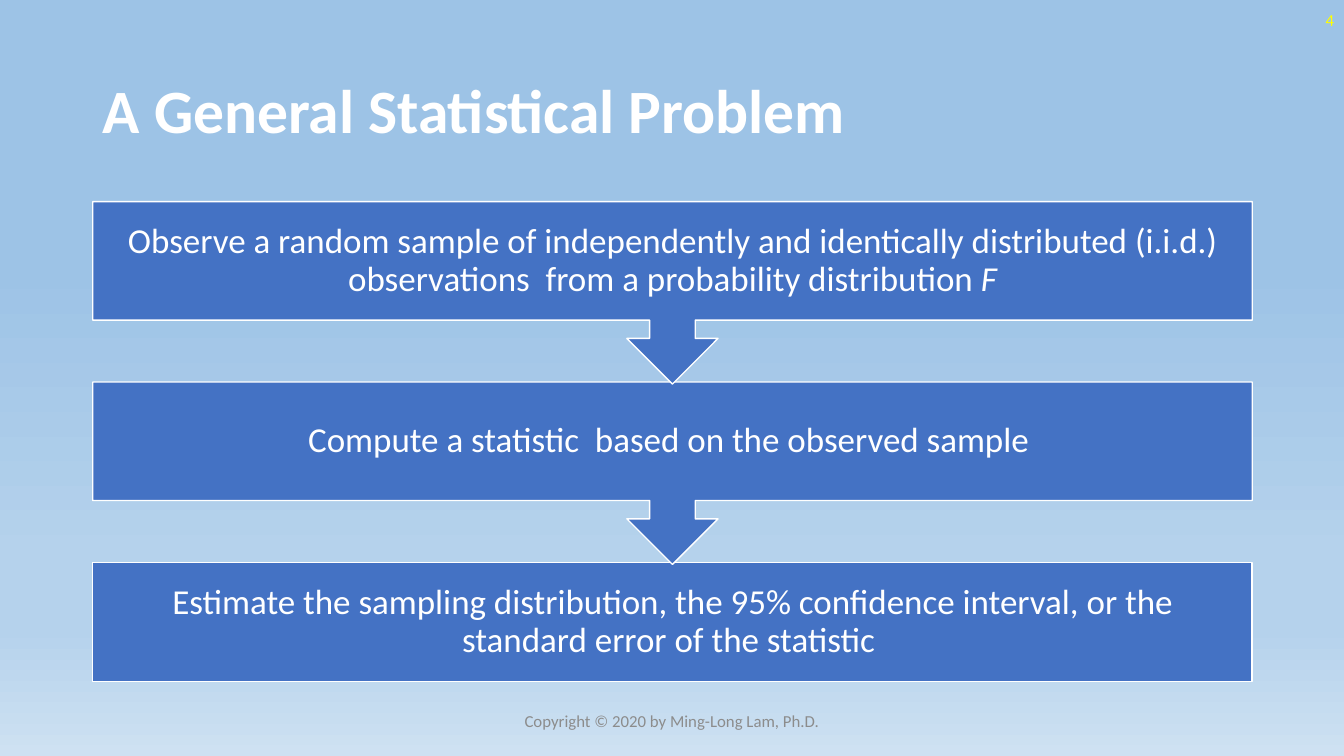
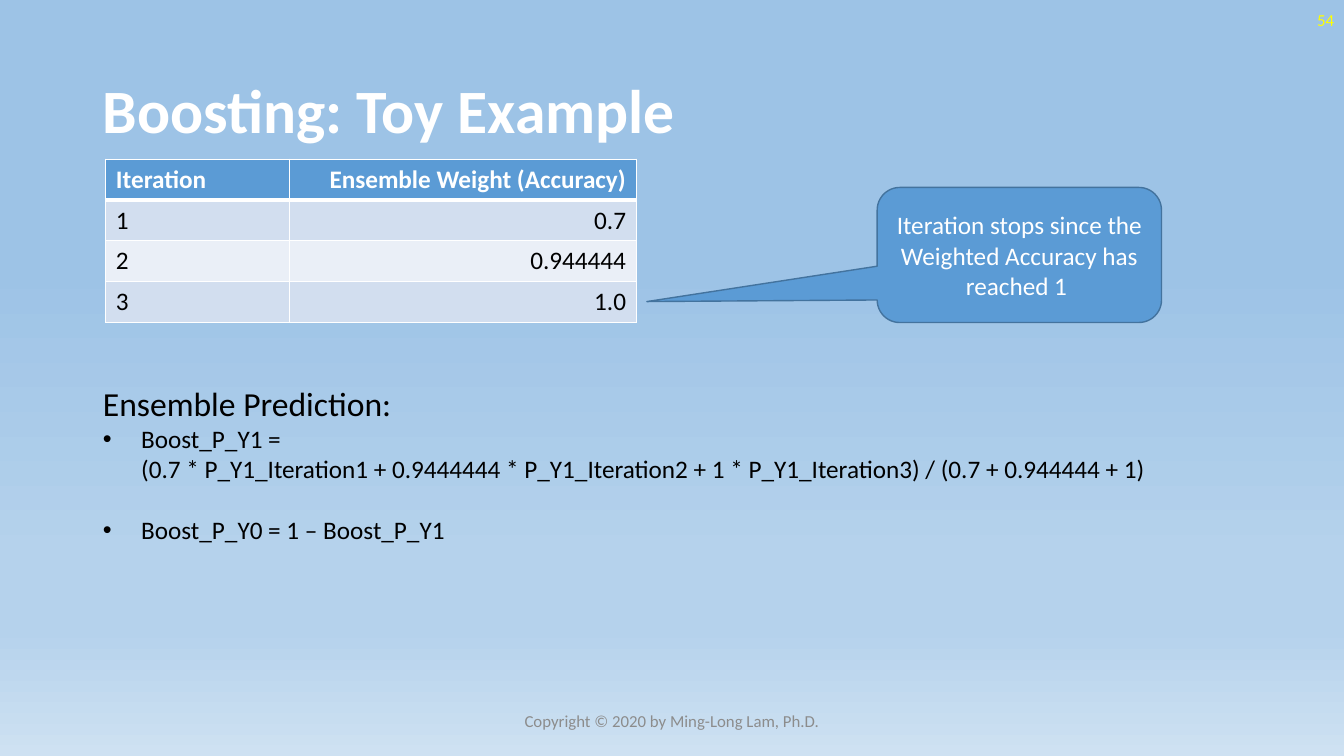
from pptx import Presentation
from pptx.dml.color import RGBColor
from pptx.enum import shapes, text
from pptx.oxml import ns, parse_xml
from pptx.util import Inches, Pt

# Shared look
FONT = "Calibri"
WHITE = RGBColor(0xFF, 0xFF, 0xFF)
BLACK = RGBColor(0, 0, 0)
YELLOW = RGBColor(0xFF, 0xFF, 0)
GREY = RGBColor(0x8C, 0x8C, 0x8C)
STEP_BLUE = RGBColor(0x44, 0x72, 0xC4)
ACCENT_BLUE = RGBColor(0x5B, 0x9B, 0xD5)
ACCENT_EDGE = RGBColor(0x43, 0x73, 0x9E)
ROW_BLUES = RGBColor(0xD2, 0xDE, 0xEF), RGBColor(0xEA, 0xEF, 0xF7)
BACKGROUND_STOPS = [(35, "9DC3E6"), (74, "B5D2EC"), (83, "B5D2EC"), (100, "CEE1F2")]
WIDTH, HEIGHT = 13.33, 7.5
MARGIN = 0.92
CONTENT_WIDTH = 11.5
LEFT, CENTER, RIGHT = text.PP_ALIGN.LEFT, text.PP_ALIGN.CENTER, text.PP_ALIGN.RIGHT
MIDDLE = text.MSO_ANCHOR.MIDDLE
FOOTER = "Copyright © 2020 by Ming-Long Lam, Ph.D."

# Content: each step is a list of (words, italic)
STEPS = [
    [("Observe a random sample of independently and identically distributed (i.i.d.) "
      "observations  from a probability distribution ", False), ("F", True)],
    [("Compute a statistic  based on the observed sample ", False)],
    [("Estimate the sampling distribution, the 95% confidence interval, "
      "or the standard error of the statistic ", False)],
]
WEIGHTS = [
    ("Iteration", "Ensemble Weight (Accuracy)"),
    ("1", "0.7"),
    ("2", "0.944444"),
    ("3", "1.0"),
]
CALLOUT = "Iteration stops since the Weighted Accuracy has reached 1 "
PREDICTION_HEADING = "Ensemble Prediction:"
PREDICTIONS = [
    "Boost_P_Y1 =\v(0.7 * P_Y1_Iteration1 + 0.9444444 * P_Y1_Iteration2 "
    "+ 1 * P_Y1_Iteration3) / (0.7 + 0.944444 + 1)",
    "Boost_P_Y0 = 1 – Boost_P_Y1",
]


def xml(tag, attributes="", inner=""):
    return parse_xml(f'<a:{tag} {ns.nsdecls("a")} {attributes}>{inner}</a:{tag}>')


def solid(color):
    return f'<a:solidFill><a:srgbClr val="{color}"/></a:solidFill>'


def style(paragraph, size, color, align=LEFT, bold=False):
    paragraph.alignment = align
    font = paragraph.font
    font.name, font.size, font.bold = FONT, Pt(size), bold
    font.color.rgb = color


def place(shape, left, top, width, height):
    shape.left, shape.top = Inches(left), Inches(top)
    shape.width, shape.height = Inches(width), Inches(height)


def add_label(slide, words, box, color, align):
    frame = slide.shapes.add_textbox(*map(Inches, box)).text_frame
    frame.word_wrap, frame.vertical_anchor = True, MIDDLE
    frame.text = words
    style(frame.paragraphs[0], 12, color, align)


def add_box(slide, kind, box, fill, edge):
    shape = slide.shapes.add_shape(kind, *map(Inches, box))
    shape.shadow.inherit = False
    shape.fill.solid()
    shape.fill.fore_color.rgb = fill
    shape.line.color.rgb = edge
    shape.line.width = Pt(1)
    shape.text_frame.word_wrap = True
    shape.text_frame.vertical_anchor = MIDDLE
    return shape


def set_background(master):
    fill = master.background.fill
    fill.gradient()
    fill.gradient_angle = 270
    stops = master.element.find(".//" + ns.qn("a:gsLst"))
    for stop in list(stops):
        stops.remove(stop)
    for percent, color in BACKGROUND_STOPS:
        stops.append(xml("gs", f'pos="{percent * 1000}"', f'<a:srgbClr val="{color}"/>'))


def add_slide(presentation, layout, title, number):
    slide = presentation.slides.add_slide(presentation.slide_layouts[layout])
    shape = slide.shapes.title
    place(shape, MARGIN, 0.4, CONTENT_WIDTH, 1.45)
    shape.text_frame.text = title
    shape.text_frame.vertical_anchor = MIDDLE
    paragraph = shape.text_frame.paragraphs[0]
    paragraph.line_spacing = 0.9
    style(paragraph, 44, WHITE, bold=True)
    add_label(slide, str(number), (WIDTH - 3, 0, 3, 0.4), YELLOW, RIGHT)
    add_label(slide, FOOTER, ((WIDTH - 4.5) / 2, 6.95, 4.5, 0.4), GREY, CENTER)
    return slide


def add_steps(slide):
    top, pitch, box_height, callout_height = 2, 1.79, 1.18, 1.81
    last = len(STEPS) - 1
    # Built from the bottom up so that each arrow tip lies over the next box
    for index in range(last, -1, -1):
        kind, height = shapes.MSO_SHAPE.DOWN_ARROW_CALLOUT, callout_height
        if index == last:
            kind, height = shapes.MSO_SHAPE.RECTANGLE, box_height
        box = MARGIN, top + index * pitch, CONTENT_WIDTH, height
        frame = add_box(slide, kind, box, STEP_BLUE, WHITE).text_frame
        frame.margin_left = frame.margin_right = Inches(0.19)
        frame.margin_top = frame.margin_bottom = Inches(0.19)
        paragraph = frame.paragraphs[0]
        paragraph.line_spacing = 0.9
        style(paragraph, 25, WHITE, CENTER)
        for words, italic in STEPS[index]:
            run = paragraph.add_run()
            run.text = words
            if italic:
                run.font.italic = True


def add_weights(slide):
    columns, row_height = (1.82, 3.44), 0.405
    rows = len(WEIGHTS)
    table = slide.shapes.add_table(
        rows, len(columns), Inches(1.05), Inches(1.58),
        Inches(sum(columns)), Inches(rows * row_height)).table
    for column, width in zip(table.columns, columns):
        column.width = Inches(width)
    for row, values in enumerate(WEIGHTS):
        header = row == 0
        for column, value in enumerate(values):
            cell = table.cell(row, column)
            cell.text = value
            style(cell.text_frame.paragraphs[0], 18, WHITE if header else BLACK,
                  RIGHT if column else LEFT, header)
            properties = cell._tc.get_or_add_tcPr()
            for side in "LRTB":
                thick = (side == "B" and header) or (side == "T" and row == 1)
                width = Pt(3 if thick else 1)
                properties.append(xml(f"ln{side}", f'w="{width}"', solid(WHITE)))
            cell.fill.solid()
            cell.fill.fore_color.rgb = ACCENT_BLUE if header else ROW_BLUES[(row - 1) % 2]


def add_predictions(slide):
    body = slide.placeholders[1]
    place(body, MARGIN, 3.75, 11.14, 1.72)
    frame = body.text_frame
    frame.auto_size = text.MSO_AUTO_SIZE.NONE
    frame.text = PREDICTION_HEADING
    heading = frame.paragraphs[0]
    properties = heading._p.get_or_add_pPr()
    properties.set("marL", "0")
    properties.set("indent", "0")
    properties.append(xml("buNone"))
    heading.space_before = Pt(0)
    style(heading, 24, BLACK)
    for index, words in enumerate(PREDICTIONS):
        paragraph = frame.add_paragraph()
        paragraph.text = words
        properties = paragraph._p.get_or_add_pPr()
        properties.set("marL", str(Inches(0.38)))
        properties.set("indent", str(-Inches(0.38)))
        properties.append(xml("buFont", 'typeface="Arial"'))
        properties.append(xml("buChar", 'char="•"'))
        paragraph.space_before = Pt(22 if index else 0)
        style(paragraph, 18, BLACK)


def add_callout(slide):
    callout = add_box(slide, shapes.MSO_SHAPE.ROUNDED_RECTANGULAR_CALLOUT,
                      (8.7, 1.86, 2.82, 1.34), ACCENT_BLUE, ACCENT_EDGE)
    for index, value in enumerate((-1.31, 0.345, 0.167)):
        callout.adjustments[index] = value
    callout.text_frame.text = CALLOUT
    style(callout.text_frame.paragraphs[0], 18, WHITE, CENTER)


def main():
    presentation = Presentation()
    presentation.slide_width, presentation.slide_height = Inches(WIDTH), Inches(HEIGHT)
    set_background(presentation.slide_master)

    # Process steps
    add_steps(add_slide(presentation, 5, "A General Statistical Problem", 4))

    # Boosting example
    slide = add_slide(presentation, 1, "Boosting: Toy Example", 54)
    add_weights(slide)
    add_predictions(slide)
    add_callout(slide)

    presentation.save("out.pptx")


if __name__ == "__main__":
    main()
